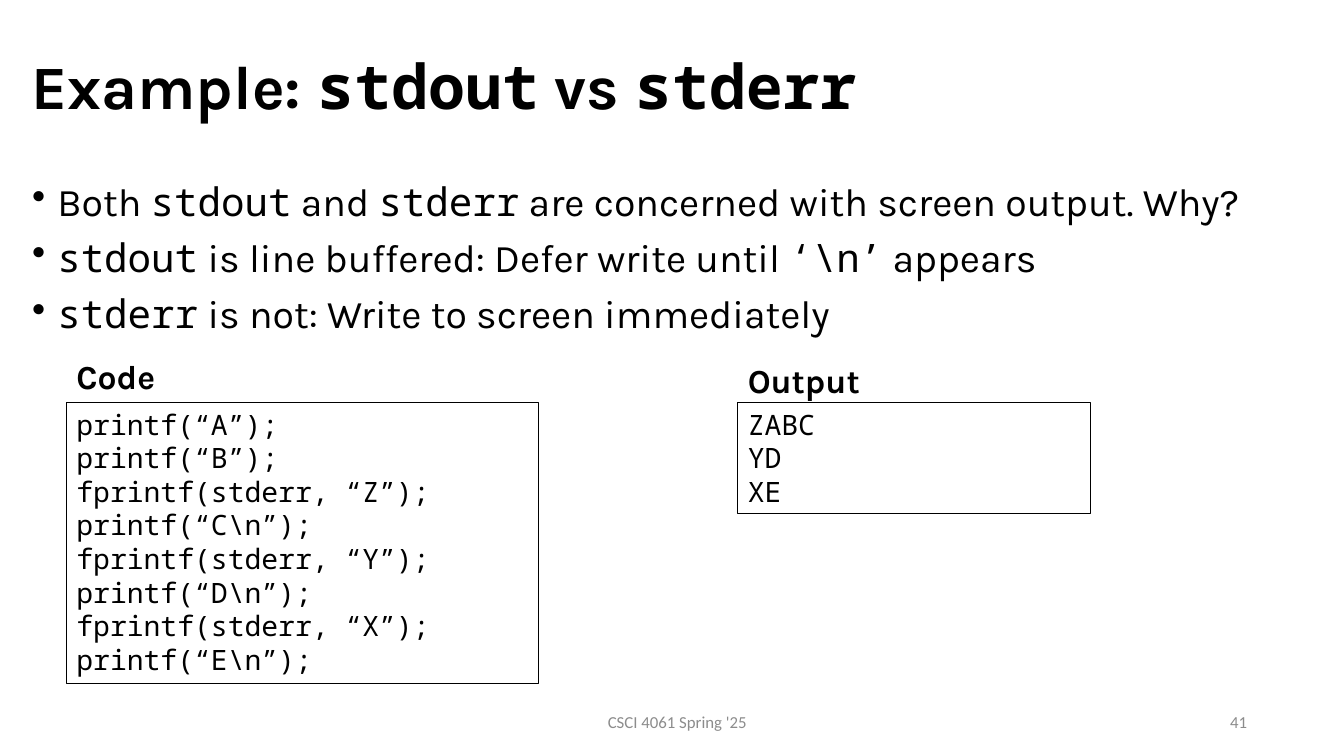
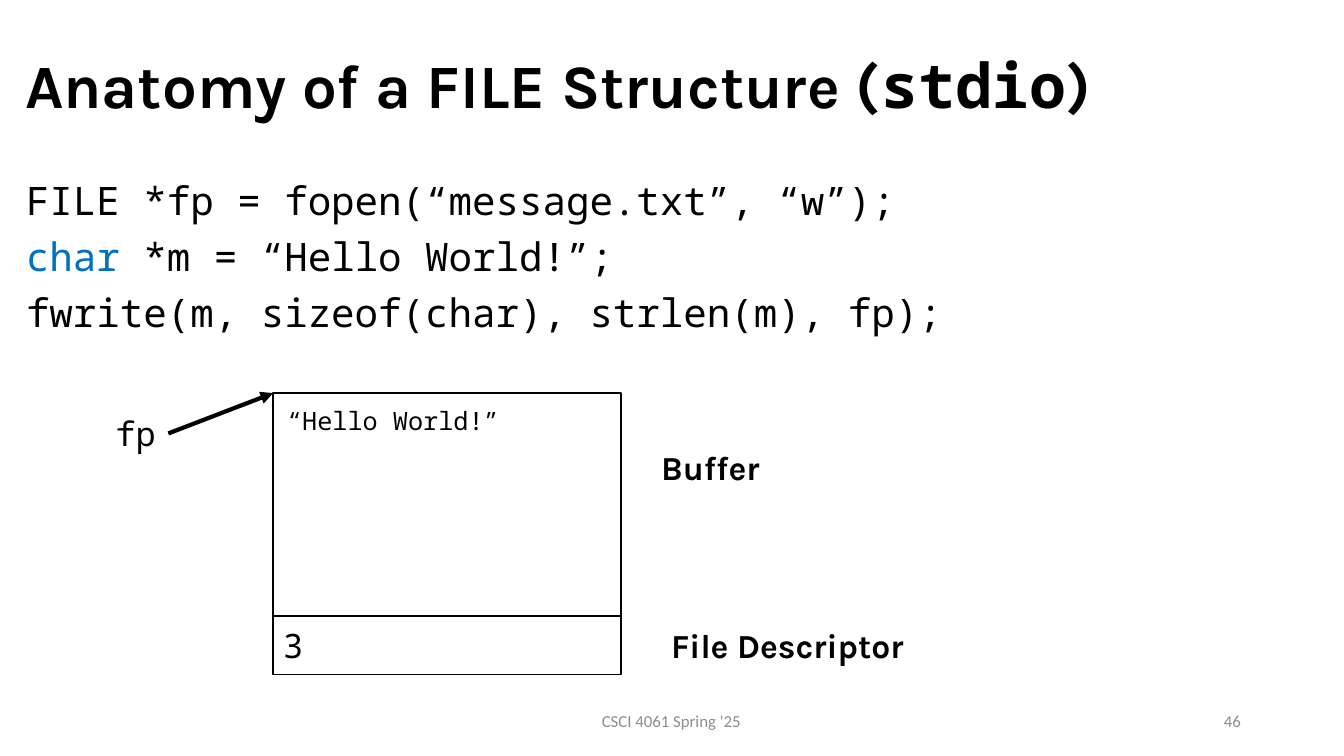
from dataclasses import dataclass

from lxml.etree import SubElement
from pptx import Presentation
from pptx.dml.color import RGBColor
from pptx.enum.shapes import MSO_CONNECTOR as Connector
from pptx.enum.shapes import MSO_SHAPE as Shape
from pptx.enum.text import MSO_ANCHOR as Anchor
from pptx.enum.text import PP_ALIGN as Align
from pptx.oxml.ns import qn
from pptx.util import Inches, Pt

COLUMNS, ROWS = 133.33, 75
CELL = Inches(0.1)
COLOURS = {"ink": "000000", "keyword": "0070C0", "footer": "8C8C8C", "paper": "FFFFFF"}
PROSE, CODE, FOOTER = "Karla", "Noto Sans Mono", "Calibri"
COURSE = "CSCI 4061 Spring '25"


@dataclass
class Box:
    left: float
    top: float
    width: float
    height: float

    @property
    def right(self):
        return self.left + self.width

    @property
    def middle(self):
        return self.top + self.height / 2

    def cells(self):
        return [round(n * CELL) for n in (self.left, self.top, self.width, self.height)]

    def inside(self, left, top, width, height):
        return Box(self.left + left, self.top + top, width, height)


def colour(name):
    return RGBColor.from_string(COLOURS[name])


def add_bullet(para):
    properties = para._p.get_or_add_pPr()
    properties.set("marL", str(Inches(0.25)))
    properties.set("indent", str(-Inches(0.25)))
    SubElement(properties, qn("a:buChar")).set("char", "•")


def write(shape, paragraphs, size, font=PROSE, bold=False, ink="ink", align=Align.LEFT,
          anchor=Anchor.TOP, spacing=None, before=0, bullets=False):
    frame = shape.text_frame
    frame.word_wrap = True
    frame.vertical_anchor = anchor
    for index, spans in enumerate(paragraphs):
        para = frame.add_paragraph() if index else frame.paragraphs[0]
        para.alignment = align
        if spacing:
            para.line_spacing = spacing
        if index and before:
            para.space_before = Pt(before)
        if bullets:
            add_bullet(para)
        para.font.size, para.font.bold, para.font.name = Pt(size), bold, font
        para.font.color.rgb = colour(ink)
        for text, change in [(spans, None)] if isinstance(spans, str) else spans:
            span = para.add_run()
            span.text = text
            if change in COLOURS:
                span.font.color.rgb = colour(change)
            elif change:
                span.font.name = change


def add_text(page, box, paragraphs, size, **style):
    write(page.shapes.add_textbox(*box.cells()), paragraphs, size, **style)


def add_frame(page, box, line=1.0, fill=None):
    frame = page.shapes.add_shape(Shape.RECTANGLE, *box.cells())
    frame.shadow.inherit = False
    if fill:
        frame.fill.solid()
        frame.fill.fore_color.rgb = colour(fill)
    else:
        frame.fill.background()
    frame.line.color.rgb = colour("ink")
    frame.line.width = Pt(line)
    return frame


def add_arrow(page, start, end):
    points = [round(n * CELL) for n in (*start, *end)]
    arrow = page.shapes.add_connector(Connector.STRAIGHT, *points)
    arrow.line.color.rgb = colour("ink")
    arrow.line.width = Pt(3)
    outline = arrow.element.spPr.find(qn("a:ln"))
    SubElement(outline, qn("a:tailEnd")).set("type", "triangle")
    SubElement(arrow.element.spPr, qn("a:effectLst"))


def add_page(deck, area, title, body, number, **body_style):
    page = deck.slides.add_slide(deck.slide_layouts[6])
    add_text(page, area.inside(0, 0, 128.2, 14.5), [title], 44, bold=True,
             anchor=Anchor.MIDDLE, spacing=0.9)
    add_text(page, area.inside(0.1, 16, 128.1, 17.8), body, 28,
             spacing=0.9, before=10, **body_style)
    for text, left, width, align in (
        (COURSE, 42.6, 45, Align.CENTER),
        (str(number), 92.6, 30, Align.RIGHT),
    ):
        add_text(page, area.inside(left, 68, width, 4), [text], 12, font=FOOTER,
                 ink="footer", align=align, anchor=Anchor.MIDDLE)
    return page


def add_listing(page, left, top, width, heading, rise, lines, fill=None):
    box = Box(left, top, width, 1 + 3.36 * len(lines))
    write(add_frame(page, box, 0.75, fill), lines, 20, font=CODE)
    add_text(page, box.inside(0, -rise, 26.4, 5), [heading], 24, bold=True)


def add_file_structure(page, box):
    split = 22.1
    buffer = box.inside(0, 0, box.width, split)
    descriptor = box.inside(0, split, box.width, box.height - split)
    pointer = box.inside(-16.9, 1.5, 6.5, 5)
    add_frame(page, buffer)
    add_text(page, buffer.inside(0.4, 0.7, 23.9, 4), ["“Hello World!”"], 18, font=CODE)
    write(add_frame(page, descriptor), ["3"], 24, font=CODE, anchor=Anchor.MIDDLE)
    add_text(page, pointer, ["fp"], 24, font=CODE, align=Align.CENTER)
    add_arrow(page, (pointer.right, pointer.middle), (box.left, box.top))
    for label, part, gap, drop in (
        ("Buffer", buffer, 3, 4.8),
        ("File Descriptor", descriptor, 4, 0.4),
    ):
        add_text(page, part.inside(part.width + gap, drop, 29.6, 5), [label], 24, bold=True)


def build_streams(deck):
    title = [("Example: ", None), ("stdout", CODE), (" vs ", None), ("stderr", CODE)]
    body = [
        [("Both ", None), ("stdout", CODE), (" and ", None), ("stderr", CODE),
         (" are concerned with screen output. Why?", None)],
        [("stdout", CODE), (" is line buffered: Defer write until ", None),
         ("‘\\n’", CODE), (" appears", None)],
        [("stderr", CODE), (" is not: Write to screen immediately", None)],
    ]
    page = add_page(deck, Box(2.1, 1.6, 128.2, 72), title, body, 41, bullets=True)
    code = [
        "printf(“A”);",
        "printf(“B”);",
        "fprintf(stderr, “Z”);",
        "printf(“C\\n”);",
        "fprintf(stderr, “Y”);",
        "printf(“D\\n”);",
        "fprintf(stderr, “X”);",
        "printf(“E\\n”);",
    ]
    add_listing(page, 6.6, 39.9, 46.8, "Code", 5.1, code, "paper")
    add_listing(page, 73.2, 39.9, 35, "Output", 4.7, ["ZABC", "YD", "XE"])


def build_anatomy(deck):
    title = [("Anatomy of a FILE Structure (", None), ("stdio", CODE), (")", None)]
    body = [
        "FILE *fp = fopen(“message.txt”, “w”);",
        [("char", "keyword"), (" *m = “Hello World!”;", None)],
        "fwrite(m, sizeof(char), strlen(m), fp);",
    ]
    page = add_page(deck, Box(1.5, 1.5, 128.2, 72), title, body, 46, font=CODE)
    add_file_structure(page, Box(27.1, 39, 34.5, 27.9))


def main():
    deck = Presentation()
    deck.slide_width, deck.slide_height = round(COLUMNS * CELL), ROWS * CELL
    build_streams(deck)
    build_anatomy(deck)
    deck.save("out.pptx")


if __name__ == "__main__":
    main()
